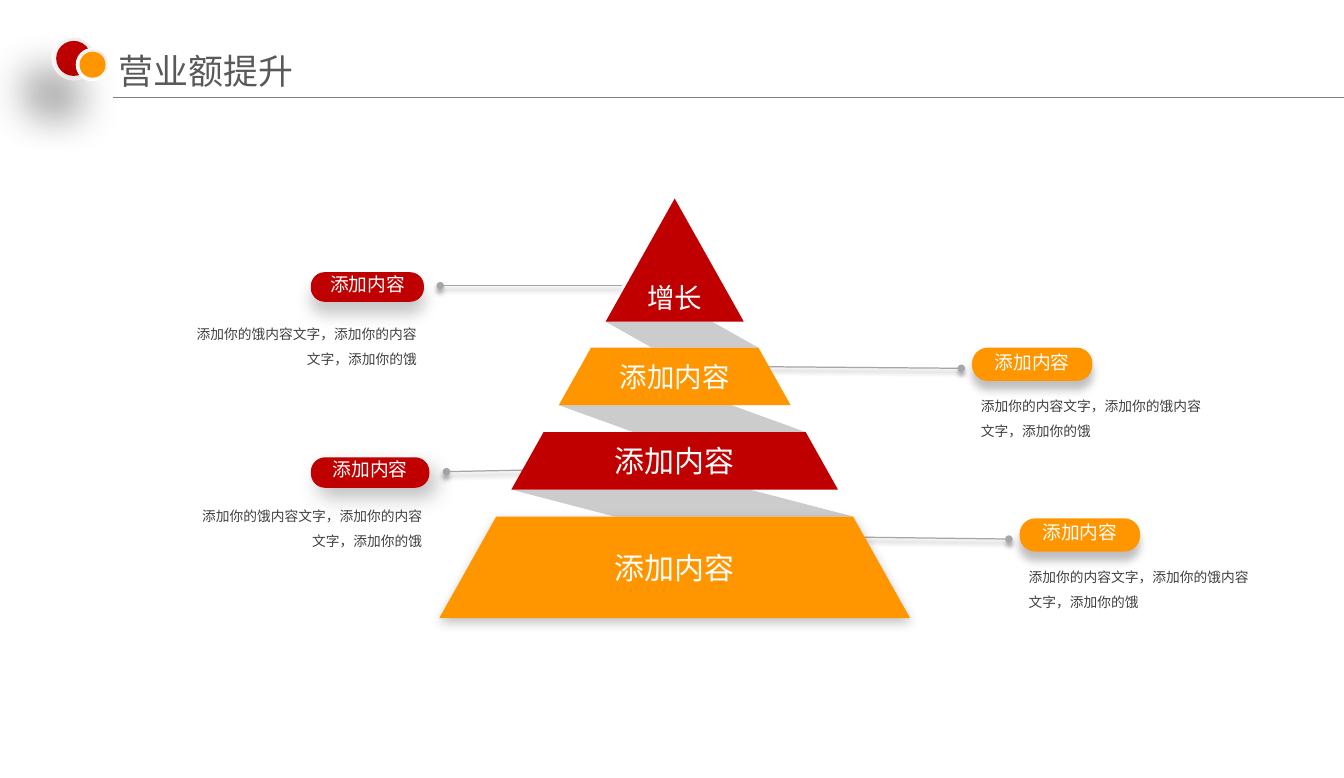
from lxml import etree
from pptx import Presentation, util as u
from pptx.dml.color import RGBColor
from pptx.enum import shapes as es, text as et
from pptx.oxml.ns import qn

FONT = "Noto Sans CJK SC"
RED, GOLD, WHITE, GREY, DARK = "C00000", "FF9600", "FFFFFF", "A6A6A6", "404040"
LEFT, MID, RIGHT = et.PP_ALIGN.LEFT, et.PP_ALIGN.CENTER, et.PP_ALIGN.RIGHT
WIDE, HIGH = 149.6, 86.6  # slide size in grid columns and rows


def cell(n):
    """Length of n grid cells; a cell is a tenth of an inch."""
    return u.Inches(n / 10)


def rgb(code):
    return RGBColor.from_string(code)


def sub(node, tag, **keys):
    return etree.SubElement(node, qn("a:" + tag), {k: str(v) for k, v in keys.items()})


class Deck:
    def __init__(self):
        self.prs = Presentation()
        self.prs.slide_width, self.prs.slide_height = cell(WIDE), cell(HIGH)
        self.slide = self.prs.slides.add_slide(self.prs.slide_layouts[5])
        self.shapes = self.slide.shapes

    def shade(self, shape, glow=None):
        """Replace the theme shadow by glow: colour, alpha, blur, distance, angle."""
        box = sub(shape._element.spPr, "effectLst")
        if glow:
            code, alpha, blur, dist, turn = glow
            node = sub(box, "outerShdw", blurRad=u.Pt(blur), dist=u.Pt(dist),
                       dir=turn * 60000, algn="ctr", rotWithShape=0)
            sub(sub(node, "srgbClr", val=code), "alpha", val=alpha * 1000)

    def paint(self, shape, fill, glow=None, alpha=None):
        shape.fill.solid()
        shape.fill.fore_color.rgb = rgb(fill)
        if alpha:
            tone = shape._element.spPr.find(qn("a:solidFill"))[0]
            sub(tone, "alpha", val=alpha * 1000)
        shape.line.fill.background()
        self.shade(shape, glow)

    def put(self, frame, words, size, code, align, gap=None):
        para = frame.paragraphs[0]
        para.alignment = align
        if gap:
            para.line_spacing = gap
        run = para.add_run()
        run.text = words
        run.font.size = u.Pt(size)
        run.font.color.rgb = rgb(code)
        run.font.name = FONT
        sub(run._r.get_or_add_rPr(), "ea", typeface=FONT)

    def inset(self, frame, side, edge):
        frame.margin_left = frame.margin_right = cell(side)
        frame.margin_top = frame.margin_bottom = cell(edge)

    def title(self, words, x, y, w, h):
        box = self.shapes.title
        box.left, box.top, box.width, box.height = map(cell, (x, y, w, h))
        frame = box.text_frame
        frame.word_wrap = True
        frame.vertical_anchor = et.MSO_ANCHOR.MIDDLE
        self.inset(frame, 1.4, 0.7)
        self.put(frame, words, 28, "595959", LEFT)

    def text(self, words, x, y, w, h, size, code, align, gap=None, wrap=True):
        frame = self.shapes.add_textbox(*map(cell, (x, y, w, h))).text_frame
        frame.word_wrap = wrap
        frame.auto_size = et.MSO_AUTO_SIZE.SHAPE_TO_FIT_TEXT
        self.put(frame, words, size, code, align, gap)

    def line(self, start, end, code, width, dot=False, glow=None):
        wire = self.shapes.add_connector(
            es.MSO_CONNECTOR.STRAIGHT, *map(cell, (*start, *end)))
        wire.line.color.rgb = rgb(code)
        wire.line.width = u.Pt(width)
        if dot:
            sub(wire._element.spPr.find(qn("a:ln")), "tailEnd", type="oval")
        self.shade(wire, glow)

    def disc(self, x, y, size):
        kind = es.MSO_SHAPE.OVAL
        return self.shapes.add_shape(kind, *map(cell, (x, y, size, size)))

    def badge(self, x, y, size, inner, code):
        """A coloured disc centred on a pale raised rim."""
        rim = self.disc(x, y, size)
        rim.fill.gradient()
        rim.fill.gradient_angle = 234
        for stop, tone in zip(rim.fill.gradient_stops, ("EBEBEB", "FEFEFE")):
            stop.color.rgb = rgb(tone)
        rim.line.color.rgb = rgb(WHITE)
        rim.line.width = u.Pt(1)
        self.shade(rim, ("000000", 38, 36, 35, 130))
        pad = (size - inner) / 2
        self.paint(self.disc(x + pad, y + pad, inner), code)

    def pill(self, x, y, w, h, code, glow):
        kind = es.MSO_SHAPE.ROUNDED_RECTANGLE
        shape = self.shapes.add_shape(kind, *map(cell, (x, y, w, h)))
        shape.adjustments[0] = 0.47
        self.paint(shape, code, glow)

    def shape(self, spots, code, glow=None, alpha=None):
        spots = [(cell(x), cell(y)) for x, y in spots]
        pen = self.shapes.build_freeform(*spots[0], scale=1.0)
        pen.add_line_segments(spots[1:], close=True)
        form = pen.convert_to_shape()
        self.paint(form, code, glow, alpha)
        return form

    def slab(self, spots, code, words, size, anchor, glow):
        frame = self.shape(spots, code, glow).text_frame
        frame.word_wrap = True
        frame.vertical_anchor = anchor
        self.inset(frame, 1.5, 0.8)
        self.put(frame, words, size, WHITE, MID)


deck = Deck()

# Header
deck.line((12.6, 10.9), (WIDE, 10.9), "808080", 0.75)
deck.badge(5.8, 4.1, 4.8, 3.9, RED)
deck.badge(8.5, 5.4, 3.6, 2.9, GOLD)
deck.title("营业额提升", 11.8, 4.7, 52, 6.3)

# Callouts: pill box, shadow, drop of the body text, line ends
LABEL = "添加内容"
EAST = "添加你的内容文字，添加你的饿内容文字，添加你的饿"
WEST = "添加你的饿内容文字，添加你的内容文字，添加你的饿"
SOFT = ("404040", 32, 7, 7, 90)
notes = [
    (113.5, 57.7, 13.4, 3.7, SOFT, 4.2, (88, 59.7), (112.3, 60)),
    (34.6, 30.3, 12.6, 3.3, ("000000", 22, 13, 10, 90), 4.6, (69.2, 31.8), (49, 31.8)),
    (34.6, 50.9, 13.2, 3.4, ("000000", 26, 17, 9, 54), 4.2, (69.8, 52.1), (49.7, 52.5)),
    (108.2, 38.7, 13.4, 3.7, SOFT, 4.2, (82.7, 40.8), (107, 41)),
]
for x, y, w, h, glow, drop, start, end in notes:
    east = end[0] > start[0]
    deck.line(start, end, GREY, 1, True, ("000000", 40, 4, 3, 90))
    deck.pill(x, y, w, h, GOLD if east else RED, glow)
    lift = 0.2 if east else 0.45
    deck.text(LABEL, x + w / 2 - 5.2, y - lift, 10.4, 3.5, 15, WHITE, MID, wrap=False)
    side = x if east else x + w + 0.2 - 26.8
    deck.text(EAST if east else WEST, side, y + drop, 26.8, 6.6, 11, DARK,
              LEFT if east else RIGHT, 1.5)

# Pyramid: both edges run straight from the apex to the base
APEX, TOP, BASE, HALF = 75.1, 22.1, 68.8, 26.2


def edge(y, way):
    return APEX + way * HALF * (y - TOP) / (BASE - TOP), y


tiers = [
    (TOP, 35.8, RED, "增长", 22, et.MSO_ANCHOR.BOTTOM),
    (38.7, 45.1, GOLD, LABEL, 22, et.MSO_ANCHOR.MIDDLE),
    (48.1, 54.5, RED, LABEL, 24, et.MSO_ANCHOR.MIDDLE),
    (57.5, BASE, GOLD, LABEL, 24, et.MSO_ANCHOR.MIDDLE),
]

# Folds between neighbouring tiers
for i, (high, low) in enumerate(zip(tiers, tiers[1:])):
    width = 11.85 + 7.35 * i
    (lx, ly), (rx, ry) = edge(high[1], -1), edge(low[0], 1)
    deck.shape([(lx, ly), (lx + width, ly), (rx, ry), (rx - width, ry)],
               "BFBFBF", alpha=79)

# Tiers
for top, low, code, words, size, anchor in tiers:
    spots = [edge(low, -1), edge(top, -1), edge(top, 1), edge(low, 1)]
    glow = ("000000", 23, 9, 3, 90) if low == BASE else None
    deck.slab(list(dict.fromkeys(spots)), code, words, size, anchor, glow)

deck.prs.save("out.pptx")
